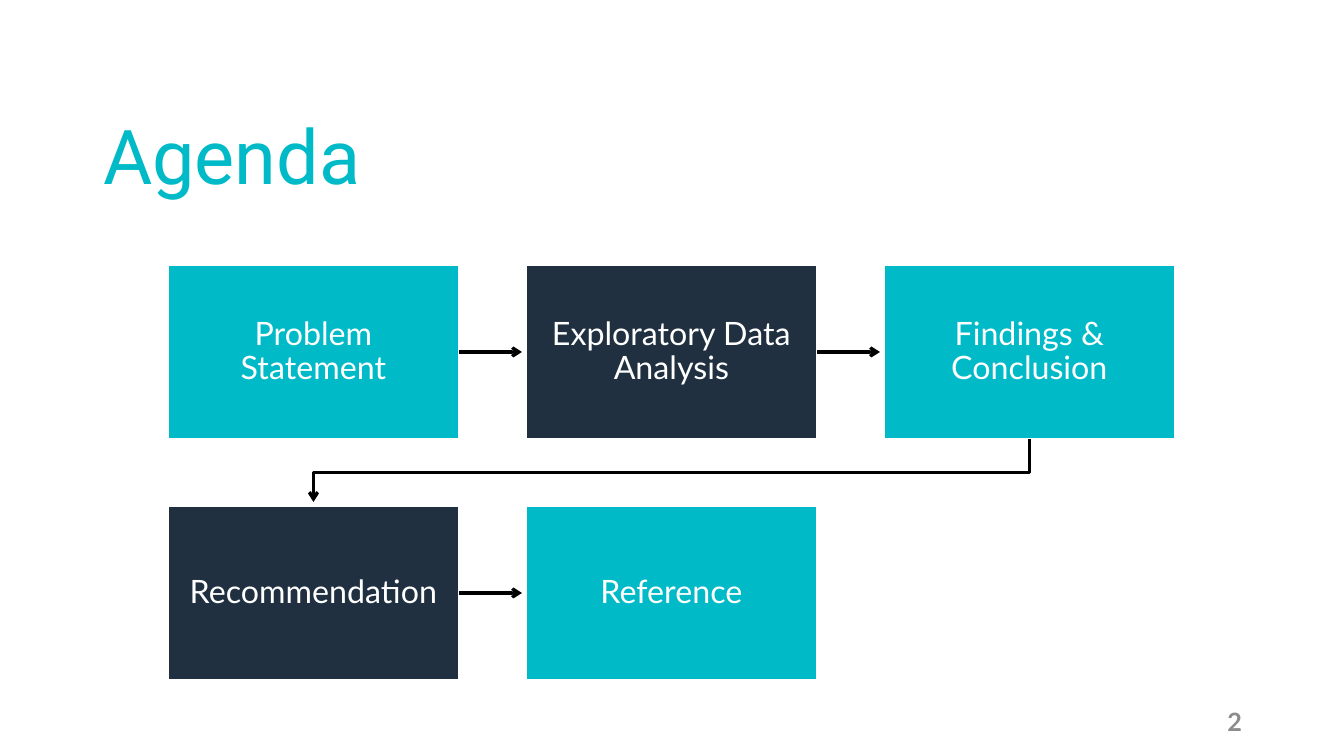
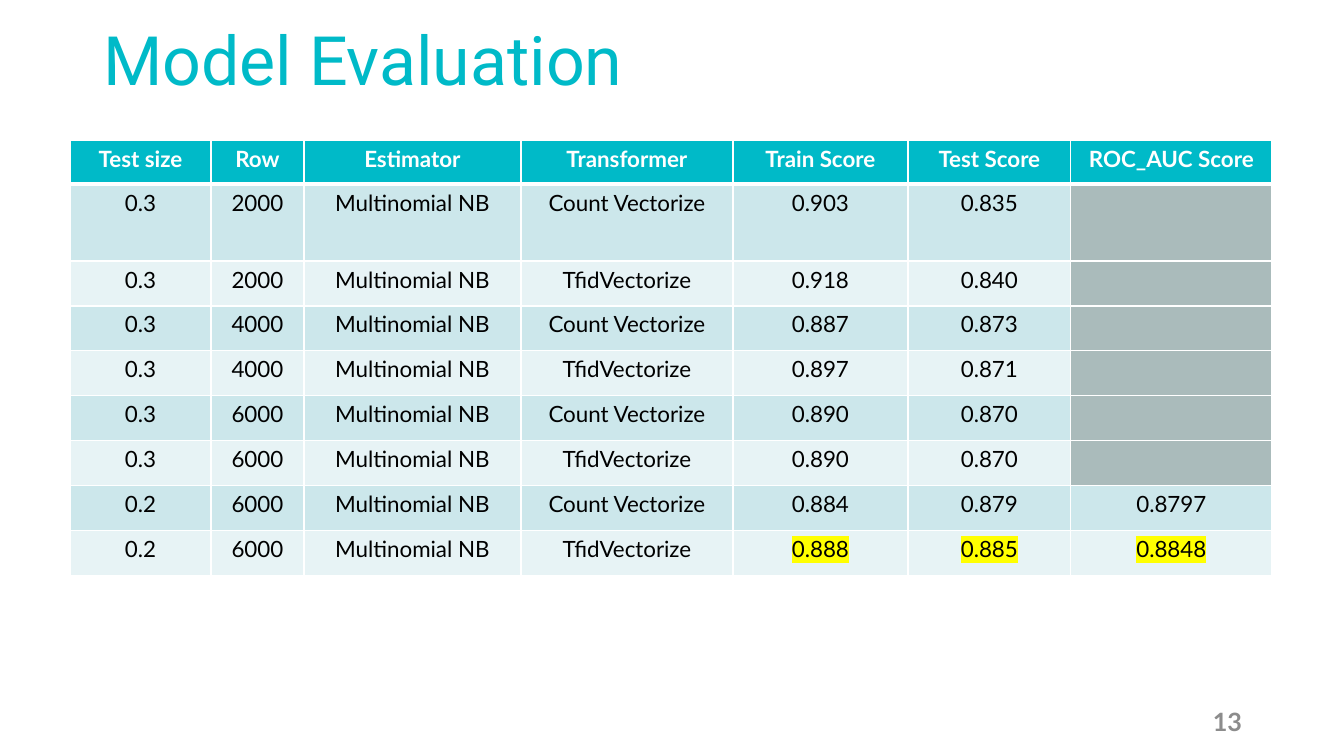
"""Build an agenda flow slide and a model evaluation table slide."""
from lxml.etree import SubElement
from pptx import Presentation
from pptx.dml.color import RGBColor
from pptx.enum.shapes import MSO_CONNECTOR, MSO_SHAPE
from pptx.enum.text import MSO_ANCHOR, MSO_AUTO_SIZE, PP_ALIGN
from pptx.oxml import parse_xml
from pptx.oxml.ns import nsdecls, qn
from pptx.util import Pt

TEAL, NAVY, WHITE, BLACK = "00BAC8", "203040", "FFFFFF", "000000"
GREY, BLANK, MARK = "8C8C8C", "AABBBB", "FFFF00"
BANDS = ("CCE7EB", "E7F3F5")
SCALE = 12192000 / 1344

STEPS = ["Problem Statement", "Exploratory Data Analysis",
         "Findings & Conclusion", "Recommendation", "Reference"]
PER_ROW, LEFT, TOP = 3, 168, 265
WIDE, HIGH, STEP_X, STEP_Y = 291, 174, 358, 241
SHORT = 4

HEADS = ["Test size", "Row", "Estimator", "Transformer",
         "Train Score", "Test Score", "ROC_AUC Score"]
COUNT, TFID = "Count Vectorize", "TfidVectorize"
RUNS = [
    ("0.3", "2000", COUNT, "0.903", "0.835", ""),
    ("0.3", "2000", TFID, "0.918", "0.840", ""),
    ("0.3", "4000", COUNT, "0.887", "0.873", ""),
    ("0.3", "4000", TFID, "0.897", "0.871", ""),
    ("0.3", "6000", COUNT, "0.890", "0.870", ""),
    ("0.3", "6000", TFID, "0.890", "0.870", ""),
    ("0.2", "6000", COUNT, "0.884", "0.879", "0.8797"),
    ("0.2", "6000", TFID, "0.888", "0.885", "0.8848"),
]
MODEL = "Multinomial NB"
BEST = {"0.888", "0.885", "0.8848"}
COLS = [141, 93, 217, 212, 175, 163, 201]
ROWS = [44, 77] + [45] * 7


def px(*sizes):
    return [round(size * SCALE) for size in sizes]


def paint(target, color):
    target.solid()
    target.fore_color.rgb = RGBColor.from_string(color)


def style(para, size, color, face="Lato", bold=False, align=PP_ALIGN.CENTER):
    para.alignment = align
    for run in para.runs:
        run.font.size, run.font.name, run.font.bold = Pt(size), face, bold
        paint(run.font.fill, color)


def new_slide(deck, title, page, top, high, size):
    slide = deck.slides.add_slide(deck.slide_layouts[5])
    head = slide.shapes.title
    head.left, head.top, head.width, head.height = px(93, top, 1159, high)
    frame = head.text_frame
    frame.text = title
    frame.auto_size = MSO_AUTO_SIZE.NONE
    frame.vertical_anchor = MSO_ANCHOR.BOTTOM
    style(frame.paragraphs[0], size, TEAL, "Roboto", align=PP_ALIGN.LEFT)
    frame = slide.shapes.add_textbox(*px(950, 701, 302, 40)).text_frame
    frame.text = page
    frame.word_wrap = True
    frame.vertical_anchor = MSO_ANCHOR.MIDDLE
    style(frame.paragraphs[0], 18, GREY, bold=True, align=PP_ALIGN.RIGHT)
    return slide


def add_box(slide, text, x, y, color):
    box = slide.shapes.add_shape(MSO_SHAPE.RECTANGLE, *px(x, y, WIDE, HIGH))
    box.shadow.inherit = False
    paint(box.fill, color)
    paint(box.line.fill, WHITE)
    box.line.width = Pt(1)
    frame = box.text_frame
    frame.text = text
    frame.word_wrap = True
    frame.vertical_anchor = MSO_ANCHOR.MIDDLE
    frame.margin_left, frame.margin_right = px(14, 14)
    frame.margin_top, frame.margin_bottom = px(15, 15)
    frame.paragraphs[0].line_spacing = 0.9
    style(frame.paragraphs[0], 23, WHITE)
    return box


def make_arrow(line):
    paint(line.fill, BLACK)
    line.width = Pt(2.25)
    SubElement(line._get_or_add_ln(), qn("a:tailEnd"), type="arrow")


def join_next(slide, box, x, y):
    mid = y + HIGH / 2
    ends = px(x + WIDE, mid, x + STEP_X - SHORT, mid)
    link = slide.shapes.add_connector(MSO_CONNECTOR.STRAIGHT, *ends)
    link.begin_connect(box, 3)
    make_arrow(link.line)
    SubElement(link._element.spPr, qn("a:effectLst"))


def join_down(slide, x, y):
    start, end = x + WIDE / 2, LEFT + WIDE / 2
    low, turn = y + HIGH, y + (HIGH + STEP_Y) / 2
    pen = slide.shapes.build_freeform(*px(start, low))
    bends = [(start, turn), (end, turn), (end, y + STEP_Y - SHORT)]
    pen.add_line_segments([px(*bend) for bend in bends], close=False)
    link = pen.convert_to_shape()
    link.shadow.inherit = False
    link.fill.background()
    make_arrow(link.line)


def add_flow(slide):
    for i, text in enumerate(STEPS):
        row, col = divmod(i, PER_ROW)
        x, y = LEFT + col * STEP_X, TOP + row * STEP_Y
        box = add_box(slide, text, x, y, (TEAL, NAVY)[i % 2])
        if i == len(STEPS) - 1:
            continue
        if col == PER_ROW - 1:
            join_down(slide, x, y)
        else:
            join_next(slide, box, x, y)


def edge_cell(cell, base):
    props = cell._tc.get_or_add_tcPr()
    for i, side in enumerate("LRTB"):
        width = Pt(base if side == "B" else 1)
        props.insert(i, parse_xml(
            f'<a:ln{side} {nsdecls("a")} w="{width}"><a:solidFill>'
            f'<a:srgbClr val="{WHITE}"/></a:solidFill></a:ln{side}>'))


def mark_run(run):
    tint = parse_xml(f'<a:highlight {nsdecls("a")}>'
                     f'<a:srgbClr val="{MARK}"/></a:highlight>')
    run._r.get_or_add_rPr().find(qn("a:latin")).addprevious(tint)


def add_scores(slide):
    data = [HEADS] + [(*run[:2], MODEL, *run[2:]) for run in RUNS]
    area = px(70, 140, sum(COLS), sum(ROWS))
    grid = slide.shapes.add_table(len(ROWS), len(COLS), *area).table
    for col, width in zip(grid.columns, px(*COLS)):
        col.width = width
    for row, high in zip(grid.rows, px(*ROWS)):
        row.height = high
    for r, line in enumerate(data):
        top = r == 0
        for c, text in enumerate(line):
            cell = grid.cell(r, c)
            cell.text = text
            band = TEAL if top else BANDS[(r - 1) % 2]
            paint(cell.fill, band if text else BLANK)
            edge_cell(cell, 3 if top else 1)
            para = cell.text_frame.paragraphs[0]
            style(para, 16, WHITE if top else BLACK, bold=top)
            if text in BEST:
                mark_run(para.runs[0])


def main():
    deck = Presentation()
    deck.slide_width, deck.slide_height = px(1344, 756)
    add_flow(new_slide(deck, "Agenda", "2", 59, 146, 54))
    add_scores(new_slide(deck, "Model Evaluation", "13", 15, 89, 48.6))
    deck.save("out.pptx")


if __name__ == "__main__":
    main()
